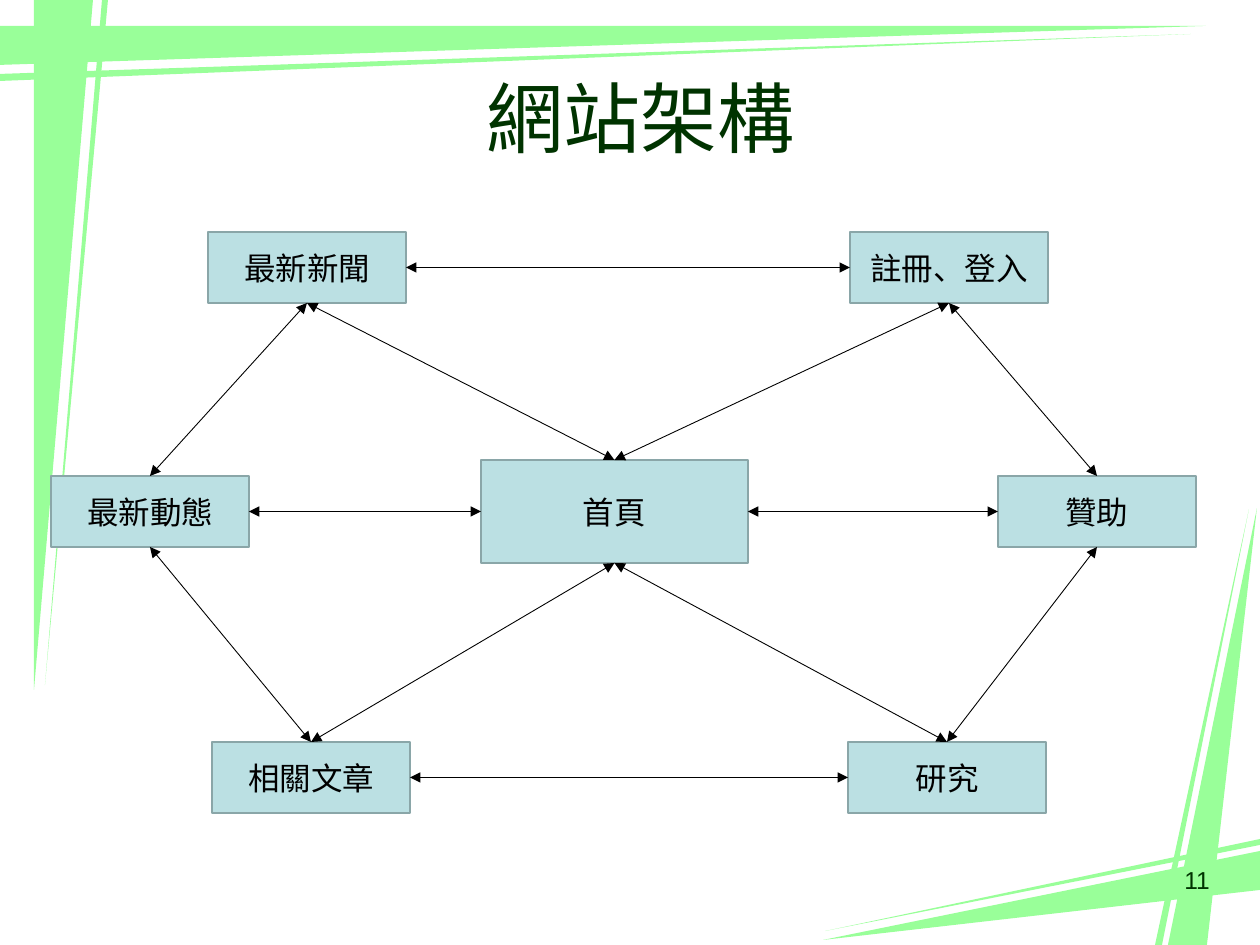
from dataclasses import dataclass

from lxml.etree import SubElement
from pptx import Presentation
from pptx.dml.color import RGBColor
from pptx.enum.shapes import MSO_CONNECTOR as CONNECTOR, MSO_SHAPE as SHAPE
from pptx.enum.text import MSO_ANCHOR as ANCHOR, PP_ALIGN as ALIGN
from pptx.oxml.ns import qn
from pptx.util import Pt

EMU_PER_PX = 914400 / 126
TOP, LEFT, BOTTOM, RIGHT = range(4)


@dataclass(frozen=True)
class Theme:
    ribbon: RGBColor = RGBColor(0x99, 0xFF, 0x99)
    heading: RGBColor = RGBColor(0x00, 0x33, 0x00)
    node_fill: RGBColor = RGBColor(0xBB, 0xE0, 0xE3)
    node_line: RGBColor = RGBColor(0x8A, 0xA6, 0xA8)
    ink: RGBColor = RGBColor(0, 0, 0)
    cjk_font: str = "Noto Sans CJK SC"
    latin_font: str = "Arial"
    title_size: int = 44
    node_size: int = 18
    number_size: int = 14


THEME = Theme()

# Node label, then left, top, width, height within the diagram
NODES = {
    "最新新聞": (157, 0, 198, 71),
    "註冊、登入": (799, 0, 198, 71),
    "最新動態": (0, 244, 198, 71),
    "首頁": (430, 228, 267, 103),
    "贊助": (947, 244, 198, 71),
    "相關文章": (161, 510, 198, 71),
    "研究": (797, 510, 198, 71),
}

LINKS = [
    ("首頁", LEFT, "最新動態", RIGHT),
    ("首頁", TOP, "最新新聞", BOTTOM),
    ("首頁", TOP, "註冊、登入", BOTTOM),
    ("首頁", BOTTOM, "相關文章", TOP),
    ("首頁", BOTTOM, "研究", TOP),
    ("首頁", RIGHT, "贊助", LEFT),
    ("最新新聞", RIGHT, "註冊、登入", LEFT),
    ("最新新聞", BOTTOM, "最新動態", TOP),
    ("註冊、登入", BOTTOM, "贊助", TOP),
    ("最新動態", BOTTOM, "相關文章", TOP),
    ("贊助", BOTTOM, "研究", TOP),
    ("相關文章", RIGHT, "研究", LEFT),
]


def px(*lengths):
    return [round(length * EMU_PER_PX) for length in lengths]


def set_text(shape, text, font_name, size, color, anchor=ANCHOR.MIDDLE):
    text_frame = shape.text_frame
    text_frame.word_wrap = True
    text_frame.vertical_anchor = anchor
    text_frame.text = text
    paragraph = text_frame.paragraphs[0]
    paragraph.alignment = ALIGN.CENTER
    font = paragraph.runs[0].font
    font.name, font.size, font.color.rgb = font_name, Pt(size), color
    # East Asian characters take their own typeface element
    east_asian = SubElement(paragraph.runs[0].font._element, qn("a:ea"))
    east_asian.set("typeface", font_name)


def paint_ribbon(shape):
    shape.shadow.inherit = False
    shape.fill.solid()
    shape.fill.fore_color.rgb = THEME.ribbon
    shape.line.fill.background()


def add_slivers(slide, left, top, slivers):
    for first, *others in slivers:
        builder = slide.shapes.build_freeform(*first, scale=EMU_PER_PX)
        builder.add_line_segments(others, close=True)
        paint_ribbon(builder.convert_to_shape(*px(left, top)))


def add_top_left_ribbons(slide, left, top, width, height):
    # Wide bands, with the right angle in the upper left corner
    for band in [(left + 34, top, 59, height), (left, top + 26, width, 39)]:
        triangle = slide.shapes.add_shape(SHAPE.RIGHT_TRIANGLE, *px(*band))
        triangle.element.spPr.xfrm.set("flipV", "1")
        paint_ribbon(triangle)
    add_slivers(slide, left, top, [
        [(0, 74), (1191, 34), (0, 81)],
        [(102, 0), (45, 685), (108, 0)],
    ])


def add_bottom_right_ribbons(slide, left, top, width, height):
    add_slivers(slide, left, top, [
        [(434, 0), (345, height), (384, height)],
        [(0, 432), (width, 343), (width, 382)],
        [(339, height), (426, 1), (332, height)],
        [(width, 337), (2, 423), (width, 331)],
    ])


def add_title(slide, *box):
    title = slide.shapes.add_textbox(*px(*box))
    set_text(title, "網站架構", THEME.cjk_font, THEME.title_size, THEME.heading)


def add_slide_number(slide, *box):
    number = slide.shapes.add_textbox(*px(*box))
    set_text(number, "11", THEME.latin_font, THEME.number_size, THEME.heading, ANCHOR.TOP)


def add_node(slide, label, *box):
    node = slide.shapes.add_shape(SHAPE.RECTANGLE, *px(*box))
    node.shadow.inherit = False
    node.fill.solid()
    node.fill.fore_color.rgb = THEME.node_fill
    node.line.color.rgb = THEME.node_line
    node.line.width = Pt(1)
    set_text(node, label, THEME.cjk_font, THEME.node_size, THEME.ink)
    return node


def add_link(slide, start, start_side, end, end_side):
    link = slide.shapes.add_connector(CONNECTOR.STRAIGHT, 0, 0, 0, 0)
    link.begin_connect(start, start_side)
    link.end_connect(end, end_side)
    link.line.color.rgb = THEME.ink
    link.line.width = Pt(0.5)
    # Arrowheads at both ends, no shadow
    for end_tag in ("a:headEnd", "a:tailEnd"):
        SubElement(link.line._get_or_add_ln(), qn(end_tag)).set("type", "triangle")
    SubElement(link.element.spPr, qn("a:effectLst"))


def add_site_map(slide, left, top):
    nodes = {
        label: add_node(slide, label, left + x, top + y, width, height)
        for label, (x, y, width, height) in NODES.items()
    }
    for start, start_side, end, end_side in LINKS:
        add_link(slide, nodes[start], start_side, nodes[end], end_side)


def main():
    presentation = Presentation()
    presentation.slide_width, presentation.slide_height = px(1260, 945)
    slide = presentation.slides.add_slide(presentation.slide_layouts[6])

    add_top_left_ribbons(slide, 0, 0, 1206, 690)
    add_bottom_right_ribbons(slide, 823, 508, 437, 437)
    add_title(slide, 84, 38, 1113, 157)
    add_slide_number(slide, 1162, 859, 70, 66)
    add_site_map(slide, 51, 232)

    presentation.save("out.pptx")


if __name__ == "__main__":
    main()
